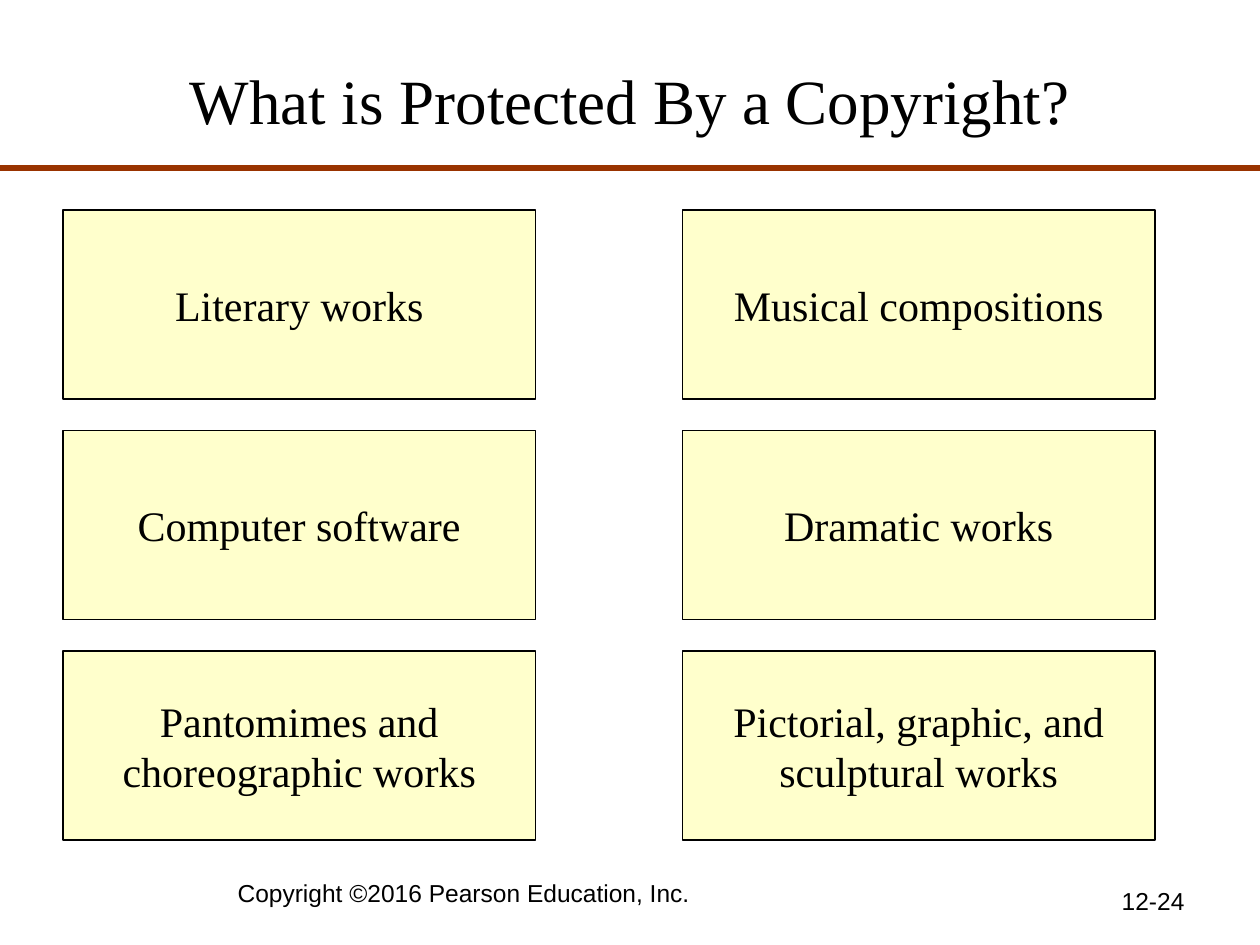
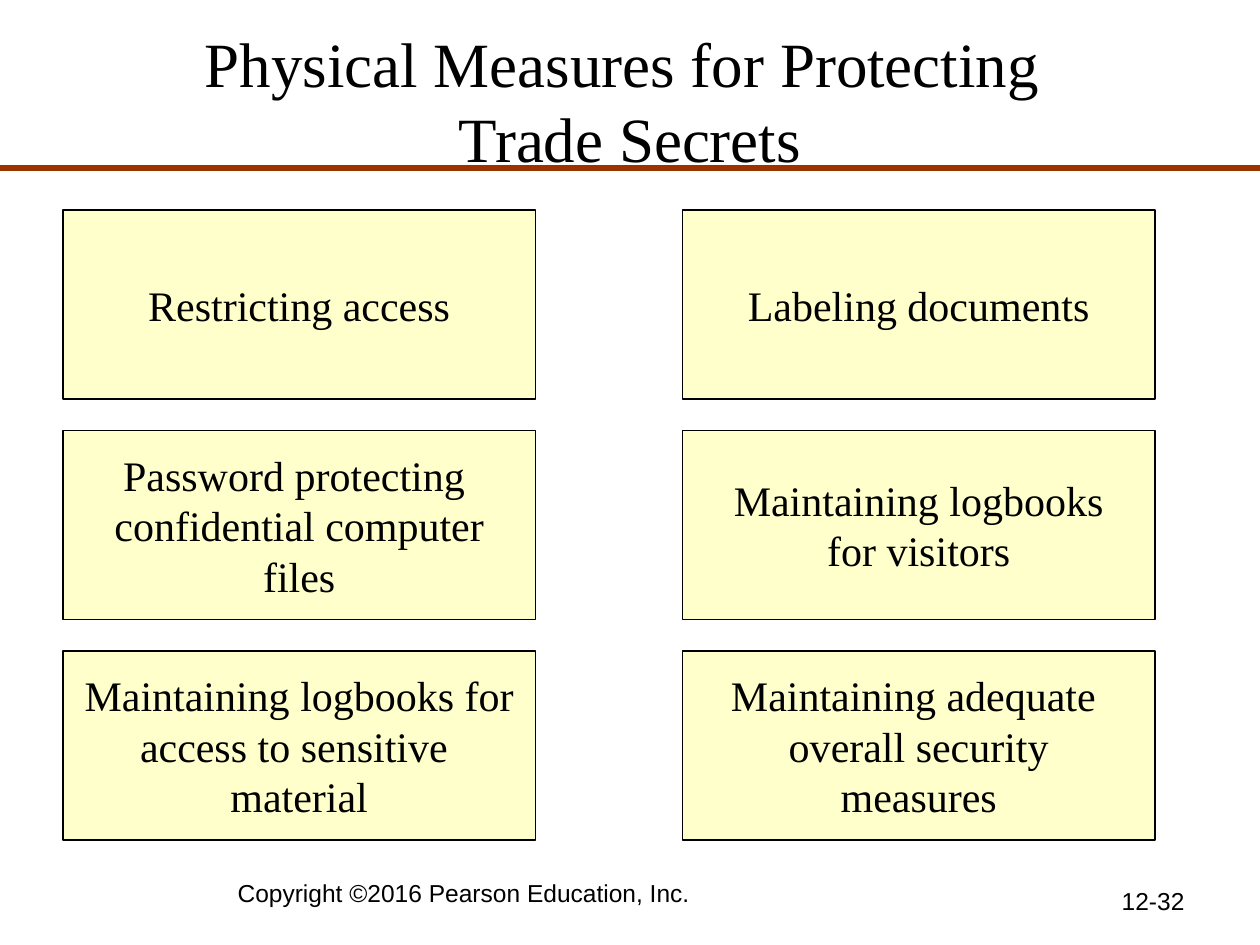
from copy import deepcopy
from dataclasses import dataclass

from lxml import etree
from pptx import Presentation
from pptx import util as u
from pptx.dml.color import RGBColor
from pptx.enum import shapes, text
from pptx.oxml.ns import qn

EMU_PER_PX = 7620  # 120 px to the inch


@dataclass(frozen=True)
class Theme:
    ink: str = "000000"
    rule: str = "993300"
    card: str = "FFFFCC"
    serif: str = "Times New Roman"
    sans: str = "Arial"
    title_size: int = 36
    card_size: int = 24
    footer_size: int = 14
    rule_width: float = 3
    card_border: float = 0.75


@dataclass(frozen=True)
class Box:
    left: int
    top: int
    width: int
    height: int

    def emu(self) -> list[u.Emu]:
        return [px(n) for n in (self.left, self.top, self.width, self.height)]


@dataclass(frozen=True)
class CardPage:
    title: str
    number: str
    cards: tuple[str, ...]  # row by row, one paragraph per line


THEME = Theme()
COPYRIGHT = "Copyright ©2016 Pearson Education, Inc. "

PAGE_WIDTH, PAGE_HEIGHT = 1200, 900
TITLE_BOX = Box(60, 20, 1080, 150)
RULE_TOP = 160
FIRST_CARD = Box(60, 200, 450, 180)
CARD_COLUMNS = 2
COLUMN_STEP, ROW_STEP = 590, 210
COPYRIGHT_BOX = Box(60, 830, 770, 52)
NUMBER_BOX = Box(860, 838, 280, 62)

PAGES = (
    CardPage("What is Protected By a Copyright?", "12-24", (
        "Literary works",
        "Musical compositions",
        "Computer software",
        "Dramatic works",
        "Pantomimes and\nchoreographic works",
        "Pictorial, graphic, and\nsculptural works",
    )),
    CardPage("Physical Measures for Protecting \vTrade Secrets", "12-32", (
        "Restricting access",
        "Labeling documents",
        "Password protecting \nconfidential computer\nfiles",
        "Maintaining logbooks\nfor visitors",
        "Maintaining logbooks for\naccess to sensitive \nmaterial",
        "Maintaining adequate \noverall security\nmeasures",
    )),
)


def px(length: int) -> u.Emu:
    return u.Emu(length * EMU_PER_PX)


def color(value: str) -> RGBColor:
    return RGBColor.from_string(value)


def write(shape, words: str, *, size: int, font: str = THEME.serif,
          align=text.PP_ALIGN.CENTER, anchor=text.MSO_ANCHOR.MIDDLE,
          wrap: bool = True) -> None:
    """Fill a shape with text: \\n starts a paragraph, \\v breaks a line."""
    frame = shape.text_frame
    frame.auto_size = text.MSO_AUTO_SIZE.NONE
    frame.word_wrap = wrap
    frame.vertical_anchor = anchor
    frame.text = words
    for para in frame.paragraphs:
        para.alignment = align
        for span in para.runs:
            span.font.size = u.Pt(size)
            span.font.name = font
            span.font.color.rgb = color(THEME.ink)
        # Line breaks take the format of the text around them
        for line_break in para._p.findall(qn("a:br")):
            line_break.append(deepcopy(para.runs[0]._r.find(qn("a:rPr"))))


def add_title(page, words: str) -> None:
    title = page.shapes.title
    title.left, title.top, title.width, title.height = TITLE_BOX.emu()
    write(title, words, size=THEME.title_size)


def add_rule(page) -> None:
    rule = page.shapes.add_connector(
        shapes.MSO_CONNECTOR.STRAIGHT,
        px(0), px(RULE_TOP), px(PAGE_WIDTH), px(RULE_TOP))
    rule.line.color.rgb = color(THEME.rule)
    rule.line.width = u.Pt(THEME.rule_width)
    etree.SubElement(rule._element.spPr, qn("a:effectLst"))


def add_card(page, box: Box, words: str) -> None:
    card = page.shapes.add_shape(shapes.MSO_SHAPE.RECTANGLE, *box.emu())
    card.shadow.inherit = False
    card.fill.solid()
    card.fill.fore_color.rgb = color(THEME.card)
    card.line.color.rgb = color(THEME.ink)
    card.line.width = u.Pt(THEME.card_border)
    write(card, words, size=THEME.card_size, wrap=False)


def add_footer(page, box: Box, words: str, align) -> None:
    footer = page.shapes.add_textbox(*box.emu())
    write(footer, words, size=THEME.footer_size, font=THEME.sans,
          align=align, anchor=text.MSO_ANCHOR.TOP)


def add_page(deck, content: CardPage) -> None:
    page = deck.slides.add_slide(deck.slide_layouts.get_by_name("Title Only"))
    add_title(page, content.title)
    add_rule(page)
    # Grid of cards
    for index, words in enumerate(content.cards):
        row, column = divmod(index, CARD_COLUMNS)
        box = Box(FIRST_CARD.left + column * COLUMN_STEP,
                  FIRST_CARD.top + row * ROW_STEP,
                  FIRST_CARD.width, FIRST_CARD.height)
        add_card(page, box, words)
    # Footers
    add_footer(page, COPYRIGHT_BOX, COPYRIGHT, text.PP_ALIGN.CENTER)
    add_footer(page, NUMBER_BOX, content.number, text.PP_ALIGN.RIGHT)


def main() -> None:
    deck = Presentation()
    deck.slide_width, deck.slide_height = px(PAGE_WIDTH), px(PAGE_HEIGHT)
    for content in PAGES:
        add_page(deck, content)
    deck.save("out.pptx")


if __name__ == "__main__":
    main()
